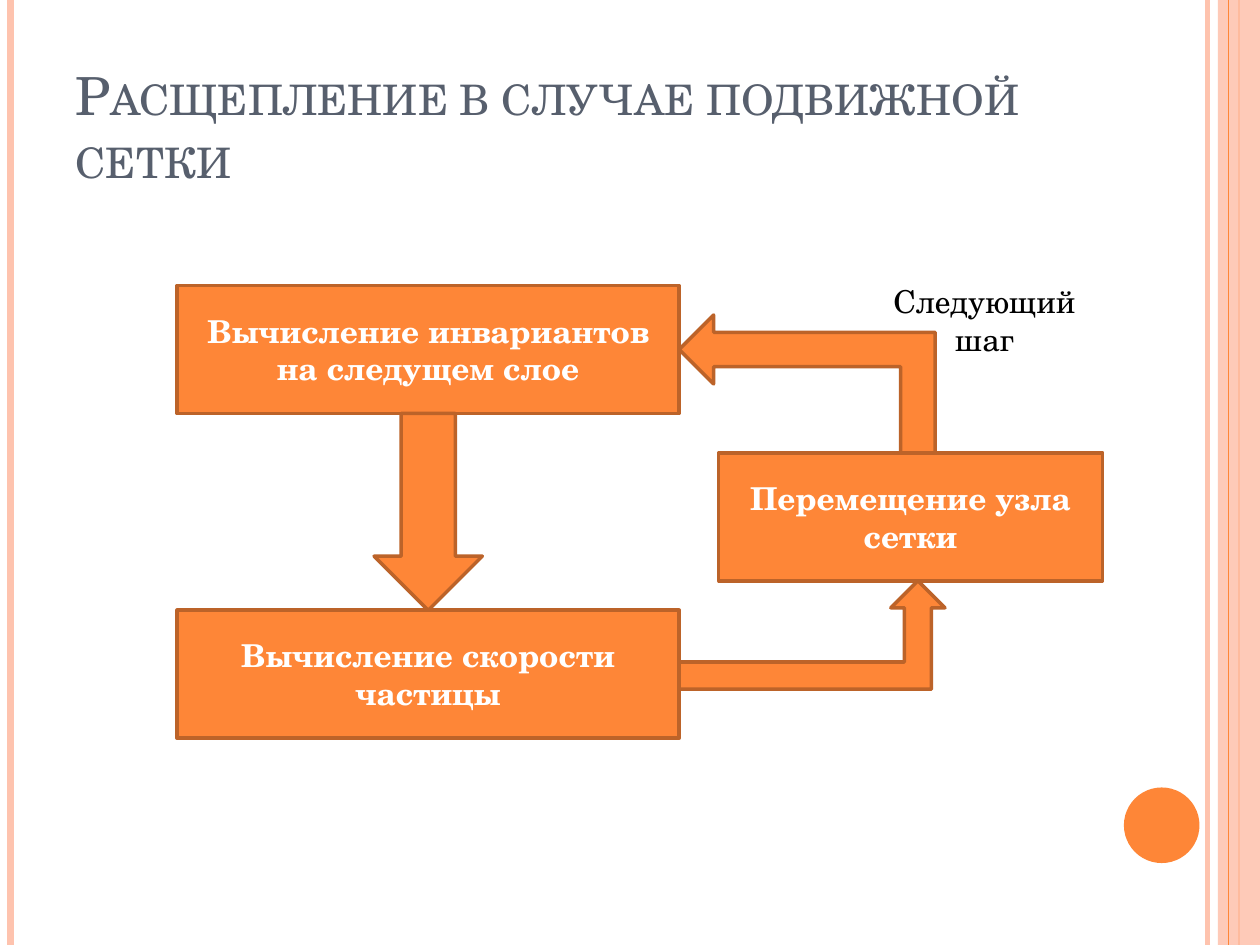
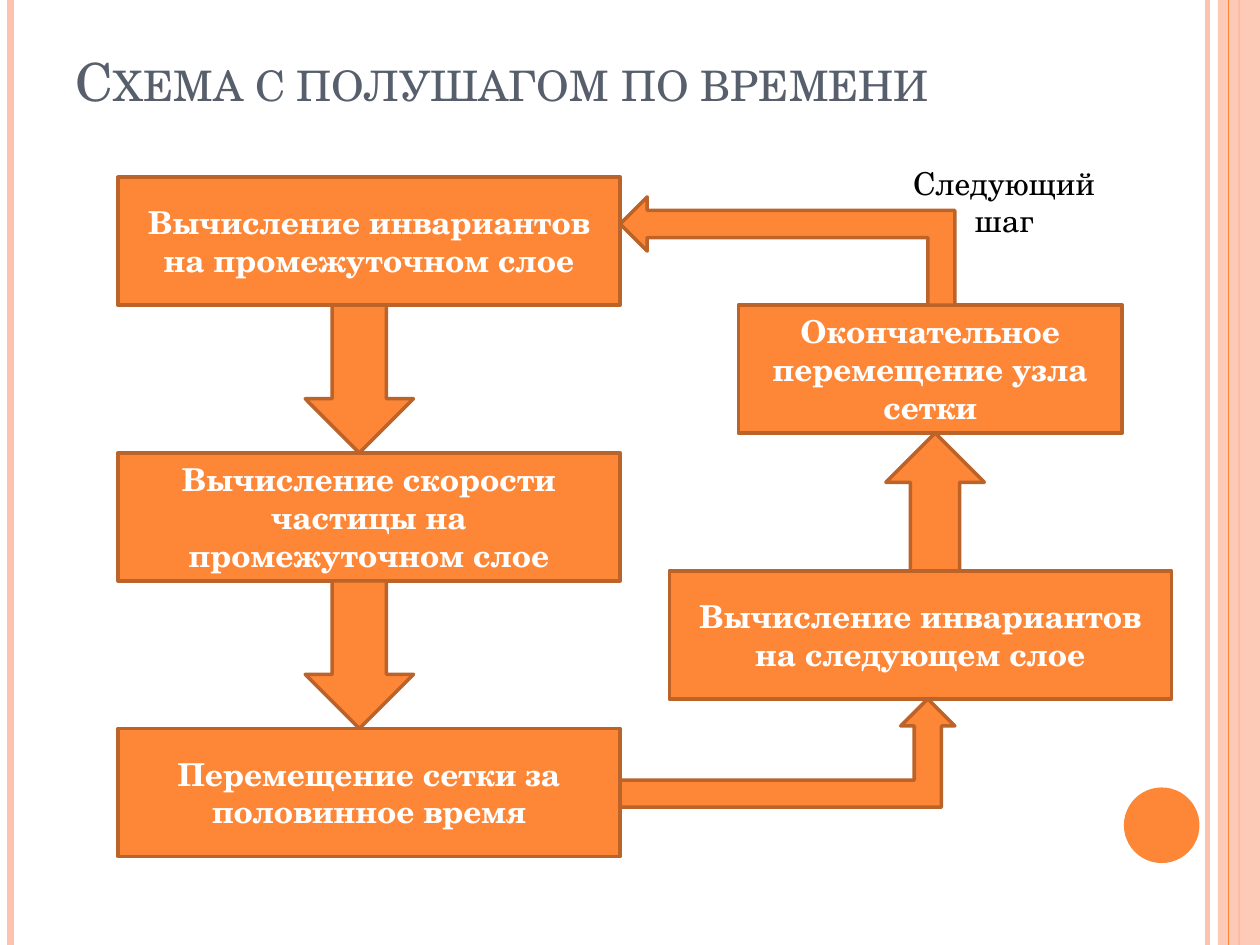
"""Build two flow-chart slides about splitting steps on a moving grid."""
import pptx
import pptx.dml.color
import pptx.enum.shapes
import pptx.enum.text
import pptx.oxml
import pptx.util
import lxml.etree

Pt = pptx.util.Pt
KIND = pptx.enum.shapes.MSO_SHAPE
ALIGN = pptx.enum.text.PP_ALIGN
ANCHOR = pptx.enum.text.MSO_ANCHOR
FIT = pptx.enum.text.MSO_AUTO_SIZE
SPACE = "http://schemas.openxmlformats.org/drawingml/2006/main"
FONT = "TeX Gyre Schola"
ORANGE, PEACH, BROWN = "FE8637", "FEC3AE", "BC6329"
WIDE, NARROW, HIGH = 286.88, 219.38, 73.13
THICK = 61.88


def paint(form, code, alpha=None):
    """Give a fill, line or font a colour and, if asked, an opacity in percent."""
    if hasattr(form, "solid"):
        form.solid()
        color = form.fore_color
    else:
        color = form.color
    color.rgb = pptx.dml.color.RGBColor.from_string(code)
    if alpha:
        node = form._xPr.find(f".//{{{SPACE}}}srgbClr")
        lxml.etree.SubElement(node, f"{{{SPACE}}}alpha", val=str(alpha * 1000))


def write(shape, text, size, code, bold=False, align=ALIGN.CENTER):
    """Put one formatted paragraph into a shape and return its run."""
    frame = shape.text_frame
    frame.word_wrap = True
    frame.text = text
    para = frame.paragraphs[0]
    para.alignment = align
    run = para.runs[0]
    run.font.name, run.font.size, run.font.bold = FONT, Pt(size), bold
    paint(run.font, code)
    return run


deck = pptx.Presentation()
deck.slide_width, deck.slide_height = Pt(720), Pt(540)
layout = deck.slide_layouts[5]
slides = [deck.slides.add_slide(layout) for _ in range(2)]

shapes = slides[0].shapes
band = shapes.add_shape(KIND.RECTANGLE, Pt(696), 0, Pt(24), Pt(540))
paint(band.fill, PEACH, 87)
dot = shapes.add_shape(KIND.OVAL, Pt(642.25), Pt(450), Pt(43.2), Pt(43.2))
paint(dot.fill, ORANGE)
for shape in (band, dot):
    shape.shadow.inherit = False
    shape.line.fill.background()

rules = []
for x, width, code in [(690, 3, PEACH), (6, 4.5, PEACH),
                       (708, 1.5, ORANGE), (702, 0.75, ORANGE)]:
    rule = shapes.add_connector(pptx.enum.shapes.MSO_CONNECTOR.STRAIGHT,
                                Pt(x), 0, Pt(x), Pt(540))
    rule.line.width = Pt(width)
    paint(rule.line, code)
    lxml.etree.SubElement(rule.element.spPr, f"{{{SPACE}}}effectLst")
    rules.append(rule)
for shape in rules[:3] + [band, rules[3], dot]:
    layout.shapes.element.append(shape.element)

charts = [
    {
        "title": "Расщепление в случае подвижной сетки",
        "height": 90,
        "label": (489.38, 157.5),
        "boxes": [
            (101.25, 163.13, WIDE, "Вычисление инвариантов на следущем слое"),
            (101.25, 348.75, WIDE, "Вычисление скорости частицы"),
            (410.63, 258.75, NARROW, "Перемещение узла сетки"),
        ],
        "arrows": [
            (KIND.DOWN_ARROW, 213.75, 236.25, THICK, 112.5, 0),
            (KIND.BENT_UP_ARROW, 388.13, 331.88, 151.88, THICK, 0),
            (KIND.BENT_UP_ARROW, 421.88, 146.25, 78.75, 146.25, 270),
        ],
    },
    {
        "title": "Схема с полушагом по времени",
        "height": 46,
        "label": (500.63, 90),
        "boxes": [
            (67.5, 101.25, WIDE, "Вычисление инвариантов на промежуточном слое"),
            (67.5, 258.75, WIDE,
             "Вычисление скорости частицы на промежуточном слое"),
            (67.5, 416.25, WIDE, "Перемещение сетки за половинное время"),
            (382.5, 326.25, WIDE, "Вычисление инвариантов на следующем слое"),
            (421.88, 174.38, NARROW, "Окончательное перемещение узла сетки"),
        ],
        "arrows": [
            (KIND.DOWN_ARROW, 174.38, 174.38, THICK, 84.38, 0),
            (KIND.DOWN_ARROW, 174.38, 331.88, THICK, 84.38, 0),
            (KIND.BENT_UP_ARROW, 354.38, 399.38, 191.25, THICK, 0),
            (KIND.UP_ARROW, 506.25, 247.5, 56.25, 78.75, 0),
            (KIND.BENT_UP_ARROW, 419.06, 47.81, THICK, 191.25, 270),
        ],
    },
]

for slide, chart in zip(slides, charts):
    shapes = slide.shapes
    title = shapes.title
    title.left, title.top = Pt(36), Pt(21.6)
    title.width, title.height = Pt(588), Pt(chart["height"])
    run = write(title, chart["title"], 30, "575F6D", align=ALIGN.LEFT)
    run.font._element.set("cap", "small")
    title.text_frame.auto_size = FIT.NONE
    title.text_frame.vertical_anchor = ANCHOR.BOTTOM

    parts = []
    for x, y, width, text in chart["boxes"]:
        box = shapes.add_shape(KIND.FLOWCHART_PROCESS,
                               Pt(x), Pt(y), Pt(width), Pt(HIGH))
        write(box, text, 18, "FFFFFF", bold=True)
        box.text_frame.vertical_anchor = ANCHOR.MIDDLE
        parts.append(box)
    for kind, x, y, width, height, turn in chart["arrows"]:
        arrow = shapes.add_shape(kind, Pt(x), Pt(y), Pt(width), Pt(height))
        arrow.rotation = turn
        parts.append(arrow)
    for part in parts:
        part.shadow.inherit = False
        paint(part.fill, ORANGE)
        paint(part.line, BROWN)
        part.line.width = Pt(2)

    x, y = chart["label"]
    label = shapes.add_textbox(Pt(x), Pt(y), Pt(146.25), Pt(50.9))
    write(label, "Следующий шаг", 18, "000000")
    label.text_frame.auto_size = FIT.SHAPE_TO_FIT_TEXT

deck.save("out.pptx")
